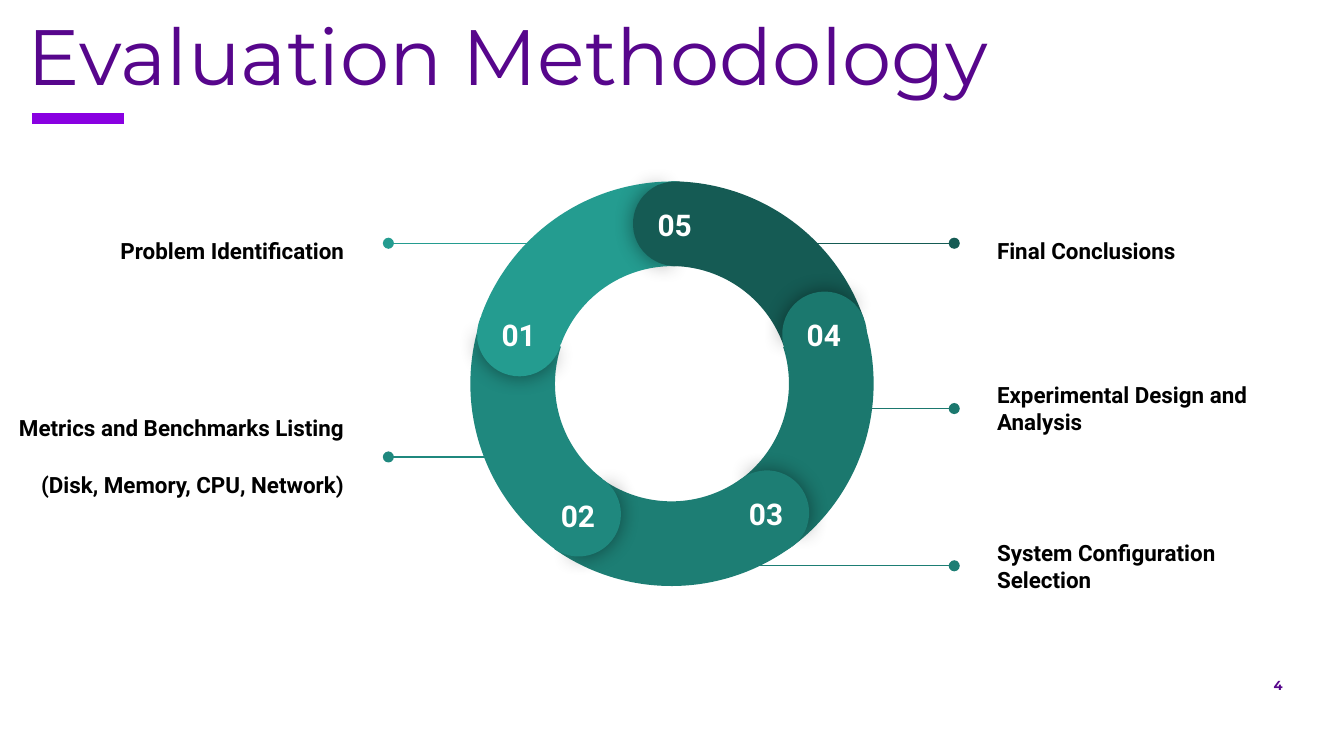
from dataclasses import dataclass

from lxml.etree import SubElement
from pptx import Presentation
from pptx.dml.color import RGBColor
from pptx.enum.shapes import MSO_CONNECTOR, MSO_SHAPE
from pptx.enum.text import MSO_ANCHOR, PP_ALIGN
from pptx.oxml.ns import qn
from pptx.util import Inches, Pt

PURPLE = "57068C"
SLIDE_WIDTH = 10
SLIDE_HEIGHT = SLIDE_WIDTH * 9 / 16
RING_SIZE = 3.03
CAP_SIZE = 0.63
NUMBER_WIDTH, NUMBER_HEIGHT = 0.56, 0.29
LABEL_HEIGHT = 1.01
LEFT_LABEL_EDGE, RIGHT_LABEL_EDGE = 2.66, 7.32
LEFT_DOT, RIGHT_DOT = 2.89, 7.1


@dataclass
class Step:
    number: str
    color: str
    lines: list[str]
    on_left: bool
    label_top: float
    label_width: float
    leader_start: float
    leader_y: float
    arc_left: float
    arc_top: float
    arc_rotation: float
    cap_left: float
    cap_top: float
    cap_rotation: float


# Listed from back to front of the ring
STEPS = [
    Step("02", "1F887E", ["Metrics and Benchmarks Listing", "(Disk, Memory, CPU, Network)"],
         True, 2.89, 2.66, 3.91, 3.4, 3.5, 1.34, 277, 3.99, 3.51, 211.1),
    Step("04", "1B786E", ["Experimental Design and Analysis"],
         False, 2.53, 2.32, 6.14, 3.04, 3.47, 1.34, 132, 5.82, 2.17, 67.1),
    Step("05", "155B54", ["Final Conclusions"],
         False, 1.36, 2.32, 5.7, 1.81, 3.48, 1.35, 60, 4.71, 1.35, 357.1),
    Step("03", "1D7E74", ["System Configuration Selection"],
         False, 3.71, 2.32, 5.09, 4.21, 3.48, 1.33, 204, 5.39, 3.5, 139.1),
    Step("01", "249C90", ["Problem Identification"],
         True, 1.36, 2.32, 4.23, 1.81, 3.49, 1.35, 350, 3.55, 2.17, 284.1),
]


def rgb(color: str) -> RGBColor:
    return RGBColor.from_string(color)


def add_text(page, lines: list[str], left: float, top: float, width: float, height: float,
             size: float, font: str, color: str, bold: bool = True,
             align=PP_ALIGN.LEFT, anchor=MSO_ANCHOR.TOP):
    box = page.shapes.add_textbox(Inches(left), Inches(top), Inches(width), Inches(height))
    frame = box.text_frame
    frame.word_wrap = True
    frame.vertical_anchor = anchor
    frame.margin_left = frame.margin_right = Inches(0.1)
    frame.margin_top = frame.margin_bottom = Inches(0.1)
    frame.text = "\n".join(lines)
    for index, para in enumerate(frame.paragraphs):
        para.alignment = align
        if index:
            para.space_before = Pt(16)
        for span in para.runs:
            span.font.size = Pt(size)
            span.font.name = font
            span.font.bold = bold
            span.font.color.rgb = rgb(color)
    return box


def add_line(page, start: float, end: float, y: float, color: str, width: float,
             dot: bool = False) -> None:
    """Draw a horizontal line, optionally with a round dot at its end."""
    line = page.shapes.add_connector(MSO_CONNECTOR.STRAIGHT, Inches(start), Inches(y),
                                     Inches(end), Inches(y))
    line.line.color.rgb = rgb(color)
    line.line.width = Pt(width)
    if dot:
        SubElement(line.line._get_or_add_ln(), qn("a:tailEnd"), type="oval")
    SubElement(line._element.spPr, qn("a:effectLst"))


def add_round_part(page, kind, left: float, top: float, size: float, rotation: float,
                   adjustments: list[float], color: str):
    part = page.shapes.add_shape(kind, Inches(left), Inches(top), Inches(size), Inches(size))
    part.rotation = rotation % 360
    for index, value in enumerate(adjustments):
        part.adjustments[index] = value
    part.fill.solid()
    part.fill.fore_color.rgb = rgb(color)
    part.line.fill.background()
    part.shadow.inherit = False
    return part


def add_soft_shadow(shape) -> None:
    effects = shape._element.spPr.find(qn("a:effectLst"))
    shadow = SubElement(effects, qn("a:outerShdw"), blurRad=str(Pt(11.2)), dist="0",
                        dir="0", algn="ctr", rotWithShape="0")
    black = SubElement(shadow, qn("a:srgbClr"), val="000000")
    SubElement(black, qn("a:alpha"), val="43000")


def add_label(page, step: Step) -> None:
    dot = LEFT_DOT if step.on_left else RIGHT_DOT
    add_line(page, step.leader_start, dot, step.leader_y, step.color, 0.75, dot=True)
    left = LEFT_LABEL_EDGE - step.label_width if step.on_left else RIGHT_LABEL_EDGE
    add_text(page, step.lines, left, step.label_top, step.label_width, LABEL_HEIGHT,
             12, "Roboto", "000000", anchor=MSO_ANCHOR.MIDDLE,
             align=PP_ALIGN.RIGHT if step.on_left else PP_ALIGN.LEFT)


def add_cap(page, step: Step) -> None:
    """Draw a rounded segment end: a shadowed front half, its back half and the number."""
    front = add_round_part(page, MSO_SHAPE.PIE, step.cap_left, step.cap_top, CAP_SIZE,
                           step.cap_rotation, [61.9, 149.96], step.color)
    add_soft_shadow(front)
    add_round_part(page, MSO_SHAPE.PIE, step.cap_left, step.cap_top, CAP_SIZE,
                   step.cap_rotation + 179.3, [40.28, 171.84], step.color)
    add_text(page, [step.number], step.cap_left + 0.03, step.cap_top + 0.09,
             NUMBER_WIDTH, NUMBER_HEIGHT, 16, "Roboto", "FFFFFF", align=PP_ALIGN.CENTER)


def main() -> None:
    deck = Presentation()
    deck.slide_width, deck.slide_height = Inches(SLIDE_WIDTH), Inches(SLIDE_HEIGHT)
    page = deck.slides.add_slide(deck.slide_layouts[6])

    add_text(page, ["4"], 5.05, 4.98, 4.59, 0.34, 7, "Montserrat", PURPLE,
             align=PP_ALIGN.RIGHT)
    title = add_text(page, ["Evaluation Methodology"], 0.11, 0.06, 9.54, 0.93, 42,
                     "Montserrat", PURPLE, bold=False)
    title.text_frame.paragraphs[0].line_spacing = 0.85
    add_line(page, 0.24, 0.92, 0.88, "8900E1", 6)

    for step in STEPS:
        add_label(page, step)
    for step in STEPS:
        add_round_part(page, MSO_SHAPE.BLOCK_ARC, step.arc_left, step.arc_top, RING_SIZE,
                       step.arc_rotation, [126.02, 168.68, CAP_SIZE / RING_SIZE], step.color)
    for step in STEPS:
        add_cap(page, step)

    deck.save("out.pptx")


if __name__ == "__main__":
    main()
